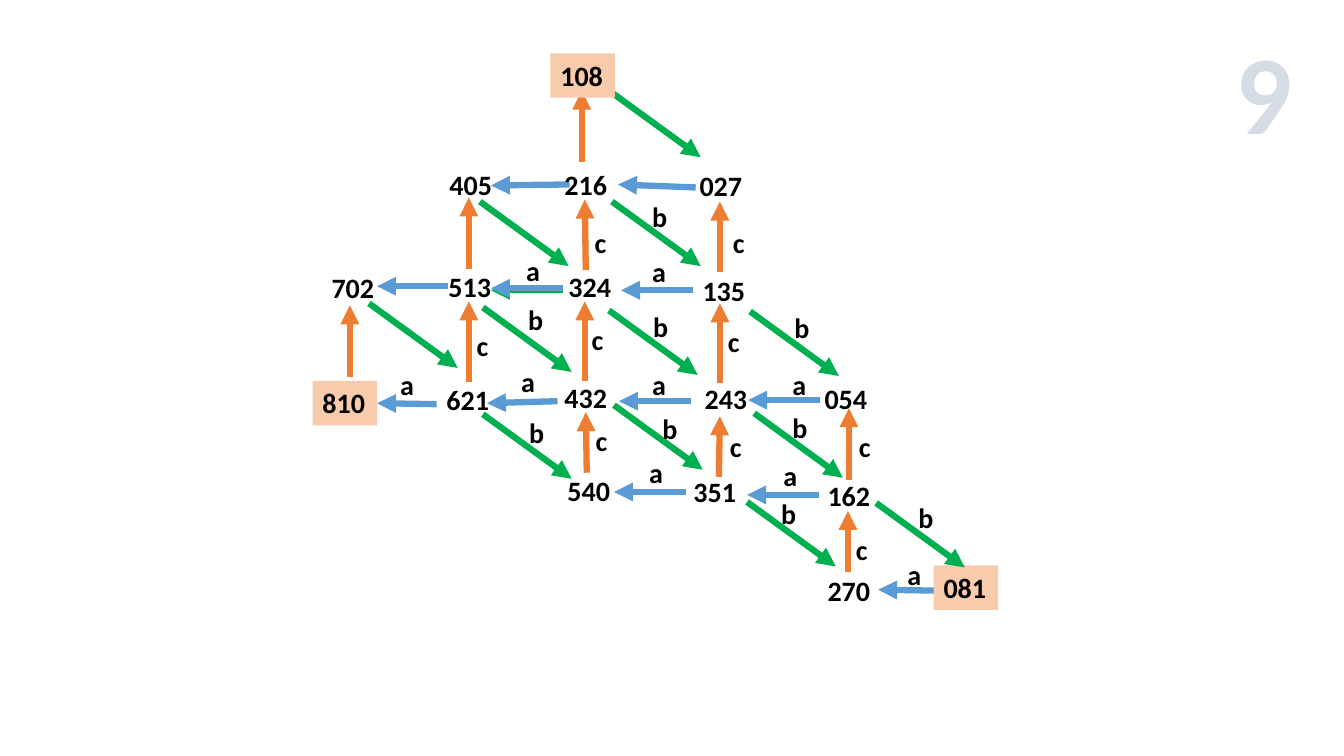
from lxml.etree import SubElement
from pptx import Presentation
from pptx.dml.color import RGBColor
from pptx.enum.dml import MSO_PATTERN_TYPE as Pattern
from pptx.enum.shapes import MSO_CONNECTOR as Connector
from pptx.enum.text import MSO_AUTO_SIZE as AutoSize, PP_ALIGN as Align
from pptx.oxml.ns import qn
from pptx.util import Inches, Pt

BLUE, ORANGE, GREEN = "5B9BD5", "ED7D31", "00B050"
BLACK, PEACH = "000000", "F8CBAD"
VALUE_WIDTH, LETTER_WIDTH, LABEL_HEIGHT = 0.64, 0.41, 0.44
DIAGONAL = (0.88, 0.64)

presentation = Presentation()
presentation.slide_width, presentation.slide_height = Inches(13.33), Inches(7.5)
slide = presentation.slides.add_slide(presentation.slide_layouts[6])


def add_label(text, left, top, width, height=LABEL_HEIGHT, size=20):
    """Add a bold one-run text box on the inch grid; return the box and its run."""
    box = slide.shapes.add_textbox(*map(Inches, (left, top, width, height)))
    box.text_frame.word_wrap = True
    box.text_frame.auto_size = AutoSize.SHAPE_TO_FIT_TEXT
    run = box.text_frame.paragraphs[0].add_run()
    run.text = text
    run.font.name, run.font.size, run.font.bold = "Calibri", Pt(size), True
    run.font.color.rgb = RGBColor.from_string(BLACK)
    return box, run


def add_arrow(color, *ends):
    """Add a thick arrow from (x, y) to (x, y) on the inch grid."""
    arrow = slide.shapes.add_connector(Connector.STRAIGHT, *map(Inches, ends))
    arrow.line.width = Pt(4.5)
    arrow.line.color.rgb = RGBColor.from_string(color)
    SubElement(arrow.line._get_or_add_ln(), qn("a:tailEnd"), type="triangle")
    SubElement(arrow._element.spPr, qn("a:effectLst"))


# Straight moves: a goes left, c goes up
straight_moves = [
    (GREEN, [(5.58, 2.88, 4.87, 2.88)]),
    (BLUE, [
        (6.9, 1.86, 6.13, 1.83), (5.65, 1.83, 4.87, 1.84),
        (6.87, 2.88, 6.16, 2.88), (5.58, 2.86, 4.87, 2.86), (4.44, 2.84, 3.74, 2.84),
        (8.13, 3.97, 7.42, 3.97), (6.85, 3.98, 6.14, 3.98),
        (5.53, 3.98, 4.83, 4), (4.33, 4.01, 3.74, 4),
        (8.12, 4.91, 7.41, 4.91), (6.8, 4.88, 6.09, 4.88),
        (9.31, 5.86, 8.71, 5.85),
    ]),
    (ORANGE, [
        (3.47, 3.74, 3.47, 3.03),
        (4.65, 2.67, 4.65, 1.96), (4.65, 3.79, 4.65, 2.99),
        (5.77, 1.61, 5.77, 0.9), (5.81, 2.68, 5.8, 1.98),
        (5.8, 3.78, 5.8, 2.99), (5.82, 4.69, 5.81, 4.09),
        (7.14, 2.7, 7.14, 2), (7.14, 3.8, 7.14, 3.01), (7.13, 4.73, 7.14, 4.13),
        (8.42, 4.76, 8.42, 4.05), (8.41, 5.67, 8.41, 5.07),
    ]),
]
for color, moves in straight_moves:
    for ends in moves:
        add_arrow(color, *ends)

# Values, row by row from the bottom, so that the top corner is drawn last
values = [
    ("270", 8.11, 5.64), ("081", 9.26, 5.61),
    ("540", 5.53, 4.65), ("351", 6.78, 4.66), ("162", 8.11, 4.7),
    ("810", 3.1, 3.78), ("621", 4.33, 3.75), ("432", 5.5, 3.73),
    ("243", 6.89, 3.74), ("054", 8.08, 3.74),
    ("702", 3.19, 2.63), ("513", 4.35, 2.62), ("324", 5.54, 2.62), ("135", 6.87, 2.66),
    ("405", 4.36, 1.61), ("216", 5.5, 1.61), ("027", 6.84, 1.62),
    ("108", 5.46, 0.53),
]
corners = {"810", "081", "108"}

# Diagonal moves b all share one slope; listed by starting point
diagonal_starts = [
    (6.07, 0.92),
    (4.76, 2), (6.07, 2),
    (3.66, 3.01), (4.79, 3.05), (6.04, 3.08), (7.44, 3.09),
    (4.79, 4.11), (6.09, 4.02), (7.48, 4.1),
    (7.41, 4.98), (8.69, 4.99),
]
for value, left, top in values:
    if value == "108":
        for x, y in diagonal_starts:
            add_arrow(GREEN, x, y, x + DIAGONAL[0], y + DIAGONAL[1])
    box, run = add_label(value, left, top, VALUE_WIDTH)
    if value in corners:
        box.fill.solid()
        box.fill.fore_color.rgb = RGBColor.from_string(PEACH)

# Letters that name the moves
letters = {
    "a": [(5.12, 2.47), (6.37, 2.48), (3.87, 3.6), (5.07, 3.57), (6.37, 3.6),
          (7.76, 3.6), (6.34, 4.47), (7.67, 4.5), (8.9, 5.48)],
    "b": [(6.37, 1.93), (5.14, 2.95), (6.38, 3.02), (7.78, 3.03), (5.15, 4.07),
          (6.47, 4.03), (7.76, 4.02), (7.65, 4.88), (9.01, 4.92)],
    "c": [(5.8, 2.19), (7.17, 2.19), (4.63, 3.21), (5.77, 3.15), (7.12, 3.17),
          (5.81, 4.15), (7.14, 4.21), (8.42, 4.21), (8.39, 5.23)],
}
for letter, places in letters.items():
    for left, top in places:
        add_label(letter, left, top, LETTER_WIDTH)

# Large total in the corner
total, run = add_label("9", 12.15, 0.17, 0.77, 1.45, size=80)
total.text_frame.word_wrap = False
total.text_frame.paragraphs[0].alignment = Align.CENTER
run.font.fill.patterned()
run.font.fill.pattern = Pattern.DARK_UPWARD_DIAGONAL
run.font.fill.fore_color.rgb = RGBColor.from_string("44546A")
run.font.fill.back_color.rgb = RGBColor.from_string("D6DCE5")

presentation.save("out.pptx")
